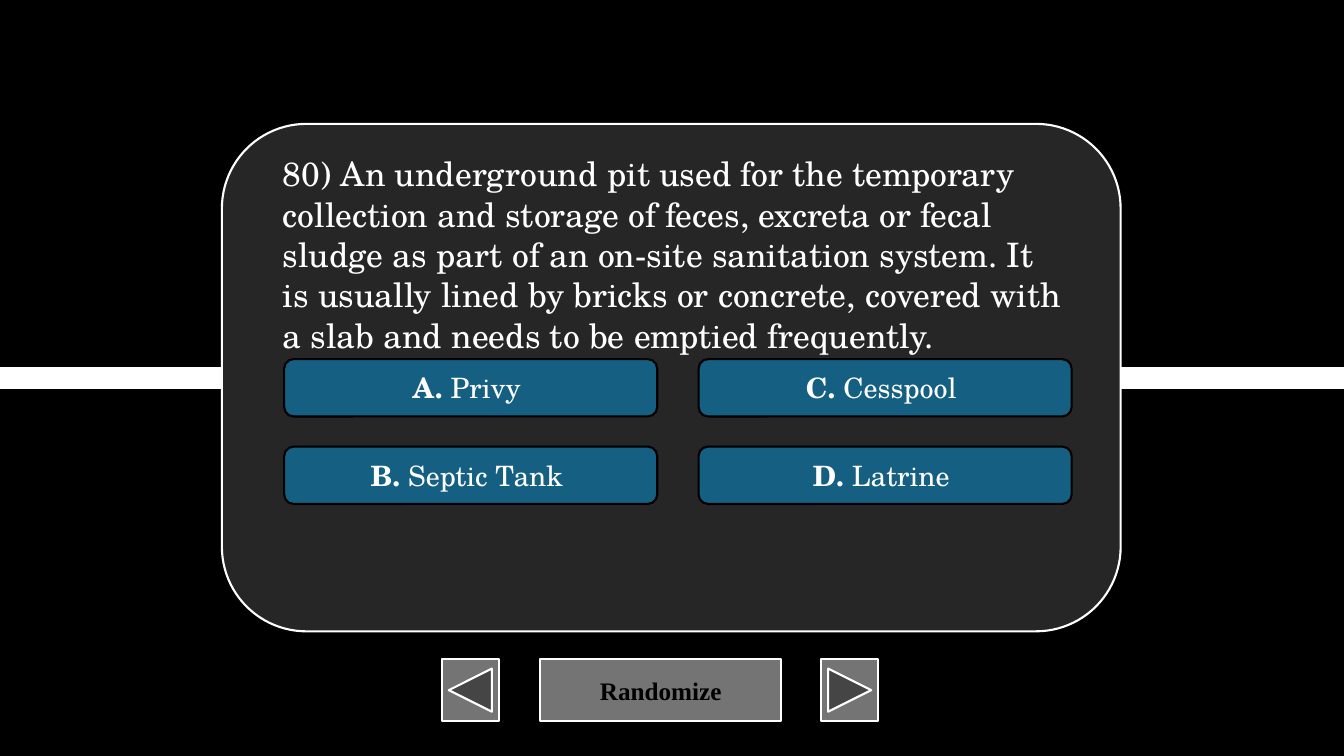
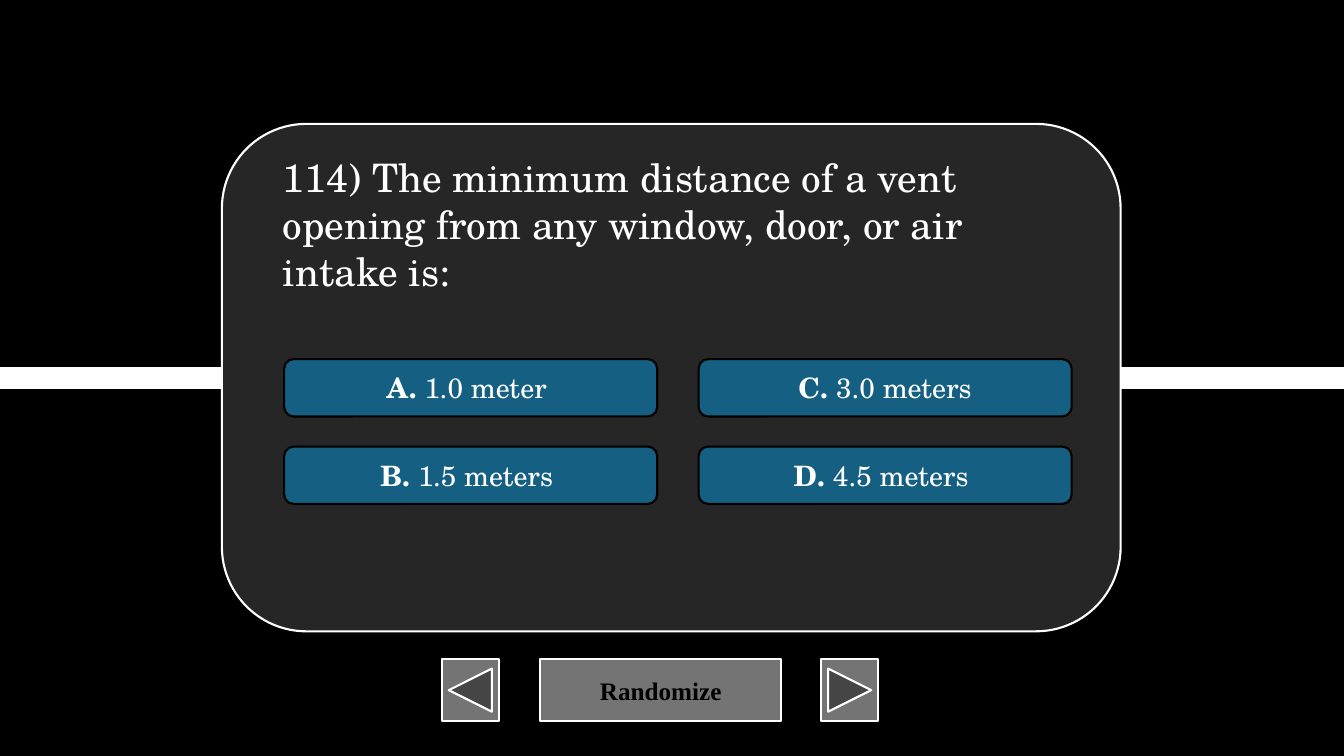
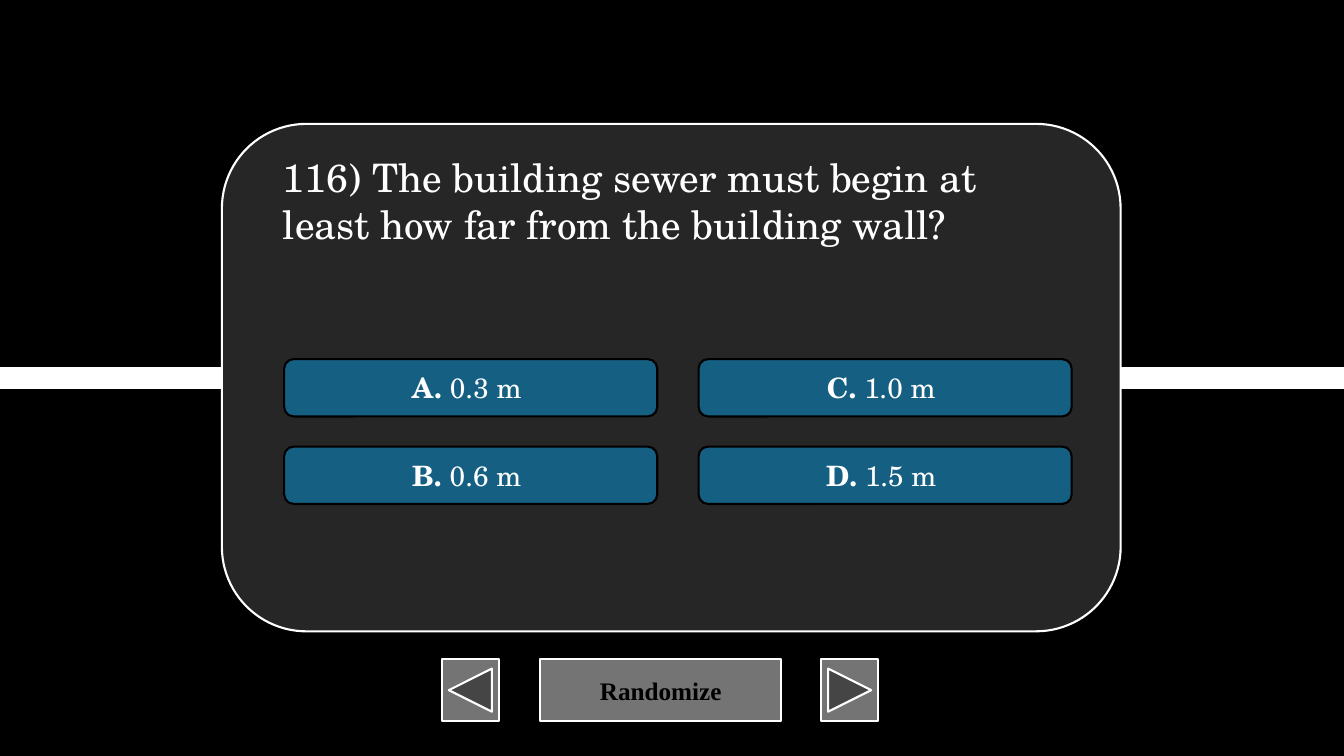
from lxml import etree
from pptx import Presentation
from pptx import util as u
from pptx.dml.color import RGBColor
from pptx.enum import shapes, text

BLACK = RGBColor(0x00, 0x00, 0x00)
WHITE = RGBColor(0xFF, 0xFF, 0xFF)
GREY = RGBColor(0x74, 0x74, 0x74)
DARK = RGBColor(0x26, 0x26, 0x26)
BLUE = RGBColor(0x15, 0x60, 0x82)
SCHOLA = "TeX Gyre Schola"
TIMES = "Times New Roman"
KIND = shapes.MSO_SHAPE
MAIN = "{http://schemas.openxmlformats.org/drawingml/2006/main}"

QUIZ = [
    ("80) An underground pit used for the temporary collection and storage of "
     "feces, excreta or fecal sludge as part of an on-site sanitation system. "
     "It is usually lined by bricks or concrete, covered with a slab and needs "
     "to be emptied frequently.",
     24, 181.4, ["Privy ", "Septic Tank ", "Cesspool ", "Latrine "]),
    ("114) The minimum distance of a vent opening from any window, door, or "
     "air intake is:",
     28, 108.7, ["1.0 meter ", "1.5 meters ", "3.0 meters", "4.5 meters "]),
    ("116) The building sewer must begin at least how far from the building "
     "wall?",
     28, 74.9, ["0.3 m ", "0.6 m ", "1.0 m ", "1.5 m "]),
]


def draw(page, kind, left, top, width, height, fill, edge):
    item = page.shapes.add_shape(
        kind, u.Pt(left), u.Pt(top), u.Pt(width), u.Pt(height))
    item.shadow.inherit = False
    item.fill.solid()
    item.fill.fore_color.rgb = fill
    item.line.color.rgb = edge
    item.line.width = u.Pt(1.5)
    return item


def write(item, *runs, size, face=SCHOLA, color=WHITE,
          align=text.PP_ALIGN.CENTER, anchor=text.MSO_ANCHOR.MIDDLE):
    frame = item.text_frame
    frame.word_wrap = True
    frame.vertical_anchor = anchor
    para = frame.paragraphs[0]
    para.alignment = align
    for words, bold in runs:
        run = para.add_run()
        run.text = words
        run.font.size = u.Pt(size)
        run.font.name = face
        run.font.bold = bold
        run.font.color.rgb = color


deck = Presentation()
deck.slide_width = u.Pt(960)
deck.slide_height = u.Pt(540)
ground = deck.slide_master.background.fill
ground.solid()
ground.fore_color.rgb = BLACK

for ask, size, tall, picks in QUIZ:
    page = deck.slides.add_slide(deck.slide_layouts[6])

    band = page.shapes.add_connector(
        shapes.MSO_CONNECTOR.STRAIGHT, u.Pt(0), u.Pt(270), u.Pt(960), u.Pt(270))
    band.line.color.rgb = WHITE
    band.line.width = u.Pt(16)
    etree.SubElement(band.line._get_or_add_ln().getparent(), MAIN + "effectLst")

    mix = draw(page, KIND.ACTION_BUTTON_CUSTOM, 386, 471, 172, 44, GREY, WHITE)
    write(mix, ("Randomize", True), size=18, face=TIMES, color=BLACK)
    for kind, left in ((KIND.ACTION_BUTTON_BACK_OR_PREVIOUS, 315.5),
                       (KIND.ACTION_BUTTON_FORWARD_OR_NEXT, 586.5)):
        draw(page, kind, left, 471, 41, 44, GREY, WHITE)

    draw(page, KIND.ROUNDED_RECTANGLE, 158.5, 88.5, 642, 362.5, DARK, WHITE)

    for spot, pick in enumerate(picks):
        col, row = divmod(spot, 2)
        key = draw(page, KIND.ROUNDED_RECTANGLE, 203 + 296 * col,
                   256.5 + 62.5 * row, 266.5, 41, BLUE, BLACK)
        write(key, ("ABCD"[spot] + ". ", True), (pick, False), size=20)

    box = page.shapes.add_textbox(
        u.Pt(195), u.Pt(106), u.Pt(570), u.Pt(tall))
    write(box, (ask, False), size=size, align=text.PP_ALIGN.LEFT,
          anchor=text.MSO_ANCHOR.TOP)
    box.text_frame.auto_size = text.MSO_AUTO_SIZE.SHAPE_TO_FIT_TEXT

deck.save("out.pptx")
